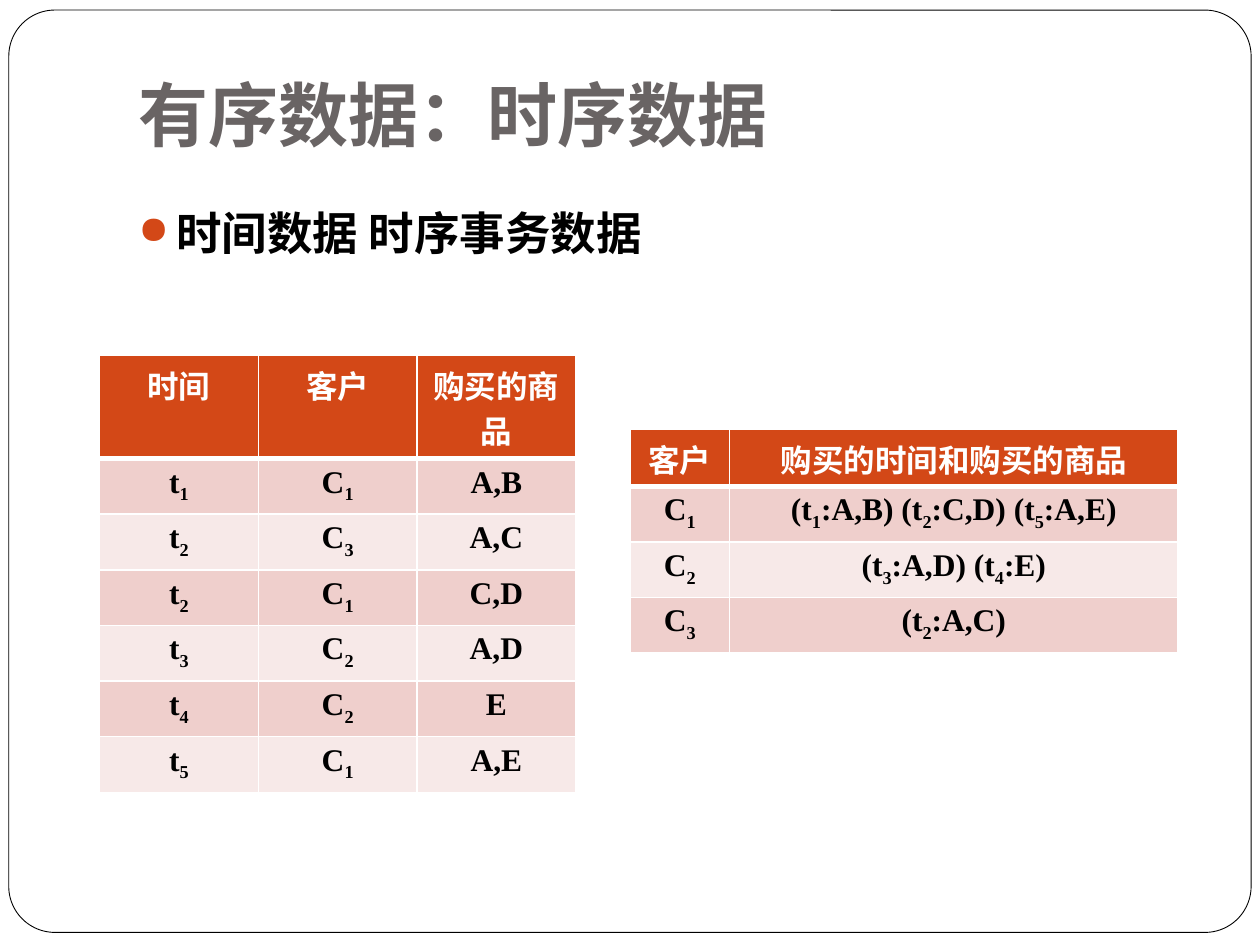
import itertools

import pptx
import pptx.dml.color
import pptx.enum.shapes
import pptx.enum.text
import pptx.oxml
import pptx.oxml.ns
import pptx.util

Inches = pptx.util.Inches
Pt = pptx.util.Pt
RGBColor = pptx.dml.color.RGBColor
ANCHOR = pptx.enum.text.MSO_ANCHOR
ALIGN = pptx.enum.text.PP_ALIGN

WHITE = RGBColor(0xFF, 0xFF, 0xFF)
BLACK = RGBColor(0, 0, 0)
GREY = RGBColor(0x69, 0x64, 0x64)
ORANGE = RGBColor(0xD3, 0x48, 0x17)
ROSE = RGBColor(0xEF, 0xCF, 0xCC)
PALE_ROSE = RGBColor(0xF7, 0xE9, 0xE8)
CHINESE_FONT = "Noto Sans CJK SC"
LATIN_FONT = "Times New Roman"

PURCHASES = [
    ["时间", "客户", "购买的商品"],
    ["t1", "C1", "A,B"],
    ["t2", "C3", "A,C"],
    ["t2", "C1", "C,D"],
    ["t3", "C2", "A,D"],
    ["t4", "C2", "E"],
    ["t5", "C1", "A,E"],
]
CUSTOMERS = [
    ["客户", "购买的时间和购买的商品"],
    ["C1", "(t1:A,B) (t2:C,D) (t5:A,E)"],
    ["C2", "(t3:A,D) (t4:E)"],
    ["C3", "(t2:A,C)"],
]


def xml(tag, content="", **attributes):
    values = "".join(f' {key}="{value}"' for key, value in attributes.items())
    namespace = pptx.oxml.ns.nsdecls("a")
    return pptx.oxml.parse_xml(f"<a:{tag} {namespace}{values}>{content}</a:{tag}>")


def apply(target, values):
    for name, value in values.items():
        setattr(target, name, value)


class SlideBuilder:
    def __init__(self, page):
        self.page = page

    def frame(self, left, top, width, height):
        shape = self.page.shapes.add_shape(
            pptx.enum.shapes.MSO_SHAPE.ROUNDED_RECTANGLE,
            Inches(left), Inches(top), Inches(width), Inches(height))
        shape.adjustments[0] = 0.05
        shape.shadow.inherit = False
        shape.fill.solid()
        shape.fill.fore_color.rgb = WHITE
        shape.line.color.rgb = BLACK
        shape.line.width = Pt(0.5)

    def span(self, para, text, size, color, font=LATIN_FONT, subscript=False):
        span = para.add_run()
        span.text = text
        apply(span.font, {"size": Pt(size), "bold": True, "name": font})
        span.font.color.rgb = color
        properties = span._r.get_or_add_rPr()
        properties.append(xml("ea", typeface=CHINESE_FONT))
        if subscript:
            properties.set("baseline", "-25000")

    def text(self, left, top, width, height, text, size, color,
             font=LATIN_FONT, anchor=ANCHOR.TOP, bottom=0.05, bullet=False):
        box = self.page.shapes.add_textbox(
            Inches(left), Inches(top), Inches(width), Inches(height))
        apply(box.text_frame, {
            "word_wrap": True, "vertical_anchor": anchor,
            "margin_bottom": Inches(bottom)})
        para = box.text_frame.paragraphs[0]
        if bullet:
            properties = para._p.get_or_add_pPr()
            apply(properties, {})
            properties.set("marL", str(Inches(0.3)))
            properties.set("indent", str(-Inches(0.3)))
            properties.append(xml("buClr", f'<a:srgbClr val="{ORANGE}"/>'))
            properties.append(xml("buSzPct", val=85000))
            properties.append(xml("buChar", char="●"))
        self.span(para, text, size, color, font)

    def borders(self, cell, row):
        widths = {"lnL": 1, "lnR": 1,
                  "lnT": 3 if row == 1 else 1, "lnB": 3 if row == 0 else 1}
        for side, width in widths.items():
            cell._tc.get_or_add_tcPr().append(xml(
                side, f'<a:solidFill><a:srgbClr val="{WHITE}"/></a:solidFill>',
                w=Pt(width)))

    def table(self, left, top, columns, header, height, rows):
        heights = [header] + [height] * (len(rows) - 1)
        table = self.page.shapes.add_table(
            len(rows), len(columns), Inches(left), Inches(top),
            Inches(sum(columns)), Inches(sum(heights))).table
        for column, width in zip(table.columns, columns):
            column.width = Inches(width)
        for index, values in enumerate(rows):
            table.rows[index].height = Inches(heights[index])
            fill = ORANGE if index == 0 else (PALE_ROSE, ROSE)[index % 2]
            color = WHITE if index == 0 else BLACK
            for cell, value in zip(table.rows[index].cells, values):
                apply(cell, {
                    "margin_left": Inches(0.07), "margin_right": Inches(0.07),
                    "margin_top": Inches(0.05), "margin_bottom": Inches(0.05)})
                self.borders(cell, index)
                cell.fill.solid()
                cell.fill.fore_color.rgb = fill
                para = cell.text_frame.paragraphs[0]
                para.alignment = ALIGN.CENTER
                for digits, part in itertools.groupby(value, str.isdigit):
                    self.span(para, "".join(part), 18, color, subscript=digits)


def main():
    deck = pptx.Presentation()
    apply(deck, {"slide_width": Inches(10), "slide_height": Inches(7.5)})
    builder = SlideBuilder(deck.slides.add_slide(deck.slide_layouts[6]))
    builder.frame(0.07, 0.08, 9.86, 7.32)
    builder.text(1, 0.3, 8.5, 1.25, "有序数据：时序数据", 40, GREY,
                 font=CHINESE_FONT, anchor=ANCHOR.MIDDLE, bottom=0.1)
    builder.text(1, 1.58, 8.5, 1.47, "时间数据 时序事务数据", 26, BLACK, bullet=True)
    builder.table(0.79, 2.82, [1.26] * 3, 0.82, 0.42, PURCHASES)
    builder.table(5, 3.41, [0.79, 3.56], 0.45, 0.43, CUSTOMERS)
    deck.save("out.pptx")


if __name__ == "__main__":
    main()
